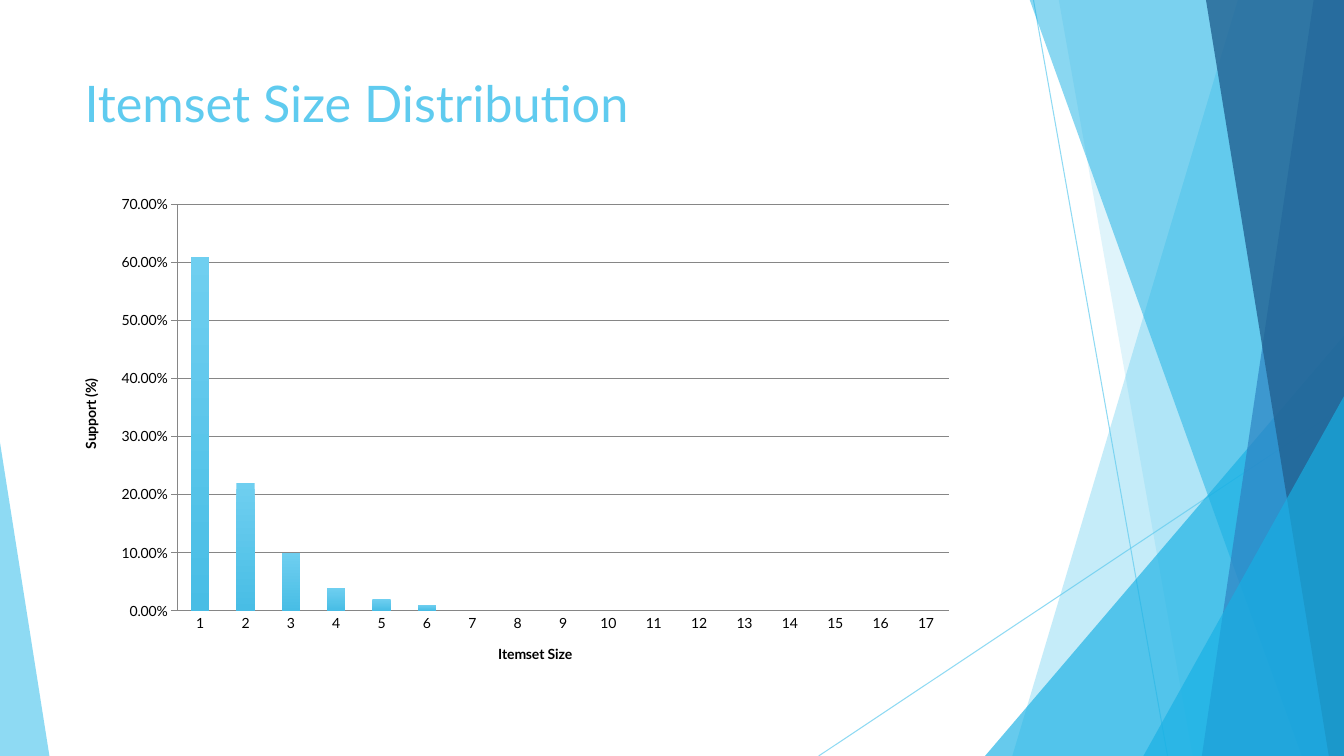
from lxml import etree
from pptx import Presentation
from pptx import util as u
from pptx.chart.data import CategoryChartData
from pptx.dml.color import RGBColor
from pptx.enum import chart as ch
from pptx.enum import shapes, text
from pptx.oxml import parse_xml
from pptx.oxml.ns import nsdecls, qn

FONT = "Lato"
SKY, AZURE, BLUE, NAVY = "5FCBEF", "17B0E4", "2E83C3", "226292"
GREY = "868686"
SUPPORT = [0.61, 0.22, 0.1, 0.04, 0.02, 0.01] + [0] * 11


def rgb(code):
    """Return the colour for a hex string."""
    return RGBColor.from_string(code)


def set_alpha(fill_owner, percent):
    """Make the solid colour inside an element partly transparent."""
    colour = next(fill_owner.iter(qn("a:srgbClr")))
    etree.SubElement(colour, qn("a:alpha")).set("val", str(percent * 1000))


def paint(shape, colour, alpha):
    """Give a shape a flat translucent fill without line or shadow."""
    shape.shadow.inherit = False
    shape.fill.solid()
    shape.fill.fore_color.rgb = rgb(colour)
    set_alpha(shape.element.spPr, alpha)
    shape.line.fill.background()


def add_ray(slide, start, end):
    """Draw a thin translucent line between two points."""
    ray = slide.shapes.add_connector(
        shapes.MSO_CONNECTOR.STRAIGHT, *map(u.Inches, start + end))
    ray.line.color.rgb = rgb(SKY)
    ray.line.width = u.Pt(0.75)
    set_alpha(ray.element.spPr, 70)
    etree.SubElement(ray.element.spPr, qn("a:effectLst"))


def add_band(slide, top_x, bottom_x, right, bottom, colour, alpha):
    """Fill the area from a slanted left edge to the right border."""
    top = -0.01
    outline = slide.shapes.build_freeform(
        u.Inches(top_x), u.Inches(top), scale=1.0)
    corners = [(right, top), (right, bottom), (bottom_x, bottom)]
    outline.add_line_segments(
        [(u.Inches(x), u.Inches(y)) for x, y in corners], close=True)
    paint(outline.convert_to_shape(), colour, alpha)


def add_wedge(slide, left, top, width, height, apex, colour, alpha):
    """Place a triangle whose apex lies at a share of its width."""
    wedge = slide.shapes.add_shape(
        shapes.MSO_SHAPE.ISOSCELES_TRIANGLE,
        *map(u.Inches, (left, top, width, height)))
    wedge.adjustments[0] = apex
    paint(wedge, colour, alpha)


def add_facets(slide, width, height):
    """Build the layered facets along the slide borders."""
    add_ray(slide, (10.25, 0), (11.58, height))
    add_ray(slide, (width, 4.03), (8.12, height))
    add_band(slide, 12.28, 10.04, width, height, SKY, 36)
    add_band(slide, 10.5, 11.83, width, height, SKY, 20)
    add_wedge(slide, 9.77, 3.33, width - 9.77, height - 3.33, 1, AZURE, 66)
    add_band(slide, 10.21, 12.91, width, height, AZURE, 50)
    add_band(slide, 13.03, 11.92, width, height, BLUE, 70)
    add_band(slide, 11.96, 13.18, width, height, NAVY, 80)
    add_wedge(slide, 11.34, 3.93, width - 11.34, height - 3.93, 1, AZURE, 66)
    add_wedge(slide, 0, 4.39, 0.49, height - 4.39, 0, SKY, 70)


def add_heading(slide, left, top, width, height):
    """Write the slide heading in the given box."""
    heading = slide.shapes.add_textbox(
        *map(u.Inches, (left, top, width, height))).text_frame
    heading.word_wrap = True
    heading.vertical_anchor = text.MSO_ANCHOR.TOP
    run = heading.paragraphs[0].add_run()
    run.text = "Itemset Size Distribution"
    run.font.size = u.Pt(36)
    run.font.name = FONT
    run.font.color.rgb = rgb(SKY)


def style_axis(axis, title, tick):
    """Set an axis title, its tick marks and its line."""
    run = axis.axis_title.text_frame.paragraphs[0].add_run()
    run.text = title
    run.font.size = u.Pt(10)
    run.font.bold = True
    run.font.name = FONT
    run.font.color.rgb = rgb("000000")
    axis.major_tick_mark = tick
    axis.minor_tick_mark = ch.XL_TICK_MARK.NONE
    axis.format.line.color.rgb = rgb(GREY)
    axis.format.line.width = u.Pt(0.75)


def add_support_chart(slide, left, top, width, height):
    """Chart the support of each itemset size in the given box."""
    support = CategoryChartData(number_format="0.00%")
    support.categories = [str(size) for size in range(1, len(SUPPORT) + 1)]
    support.add_series("Series 1", SUPPORT)
    chart = slide.shapes.add_chart(
        ch.XL_CHART_TYPE.COLUMN_CLUSTERED,
        *map(u.Inches, (left, top, width, height)), support).chart
    chart.has_legend = False
    chart.has_title = False
    chart.font.size = u.Pt(10)
    chart.font.name = FONT
    chart.font.color.rgb = rgb("000000")
    style_axis(chart.category_axis, "Itemset Size", ch.XL_TICK_MARK.NONE)
    scale = chart.value_axis
    style_axis(scale, "Support (%)", ch.XL_TICK_MARK.OUTSIDE)
    scale.minimum_scale, scale.maximum_scale, scale.major_unit = 0, 0.7, 0.1
    scale.tick_labels.number_format = "0.00%"
    scale.tick_labels.number_format_is_linked = False
    scale.has_major_gridlines = True
    scale.major_gridlines.format.line.color.rgb = rgb(GREY)
    scale.major_gridlines.format.line.width = u.Pt(0.75)
    plot = chart.plots[0]
    plot.gap_width = 150
    plot.vary_by_categories = False
    bars = plot.series[0].format.fill
    bars.gradient()
    bars.gradient_angle = 270
    for stop, colour in zip(bars.gradient_stops, ("6FCFF0", "48BDE5")):
        stop.color.rgb = rgb(colour)
    place_plot(chart, 1.18 / width, 0.19 / height, 7.65 / width, 4.03 / height)


def place_plot(chart, x, y, w, h):
    """Fix the inner plot area as shares of the chart box."""
    plot_area = chart.element.find(".//" + qn("c:plotArea"))
    for layout in plot_area.findall(qn("c:layout")):
        plot_area.remove(layout)
    plot_area.insert(0, parse_xml(
        f'<c:layout {nsdecls("c")}><c:manualLayout>'
        '<c:layoutTarget val="inner"/><c:xMode val="edge"/><c:yMode val="edge"/>'
        f'<c:x val="{x}"/><c:y val="{y}"/><c:w val="{w}"/><c:h val="{h}"/>'
        '</c:manualLayout></c:layout>'))


def main():
    """Build the slide and save it."""
    width, height = 13.33, 7.5
    deck = Presentation()
    deck.slide_width, deck.slide_height = u.Inches(width), u.Inches(height)
    slide = deck.slides.add_slide(deck.slide_layouts[6])
    add_facets(slide, width, height)
    add_heading(slide, 0.74, 0.67, 9.4, 1.44)
    add_support_chart(slide, 0.58, 1.84, 9, 4.95)
    deck.save("out.pptx")


if __name__ == "__main__":
    main()
